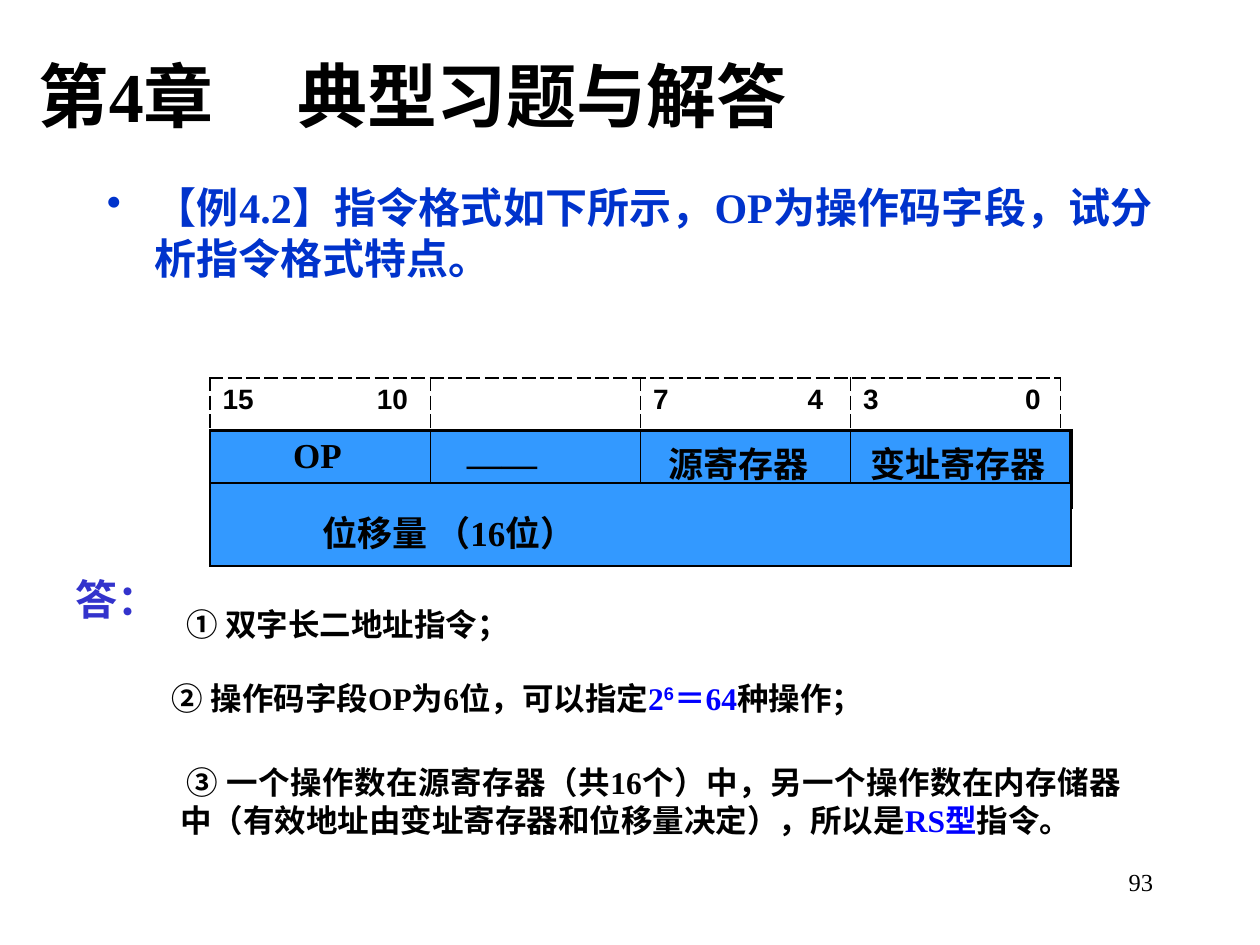
from lxml.etree import SubElement
from pptx import Presentation
from pptx.dml.color import RGBColor
from pptx.enum.text import MSO_ANCHOR, PP_ALIGN
from pptx.oxml.ns import qn
from pptx.util import Inches, Pt

BLACK = RGBColor(0x00, 0x00, 0x00)
QUESTION_BLUE = RGBColor(0x00, 0x33, 0xCC)
ANSWER_BLUE = RGBColor(0x33, 0x33, 0xCC)
HIGHLIGHT = RGBColor(0x00, 0x00, 0xFF)
FIELD_FILL = RGBColor(0x33, 0x99, 0xFF)

UNITS_PER_INCH = 12
FIELD_LEFT = 20
FIELD_WIDTHS = [21, 20, 20, 21]


def grid(units):
    return Inches(units / UNITS_PER_INCH)


class ExerciseSlide:
    """Builds one slide on a grid of 120 columns by 90 rows."""

    latin = "Times New Roman"
    east_asian = "Noto Sans CJK SC"

    def __init__(self, presentation):
        self.slide = presentation.slides.add_slide(presentation.slide_layouts[5])

    def style(self, paragraph, size, color=BLACK, bold=True, latin=None):
        font = paragraph.font
        font.size = Pt(size)
        font.bold = bold
        font.color.rgb = color
        font.name = latin or self.latin
        SubElement(font._rPr, qn("a:ea"), typeface=self.east_asian)

    def tab(self, paragraph, position, align):
        """Add a tab stop, in inches from the text's left edge."""
        stops = SubElement(paragraph._p.get_or_add_pPr(), qn("a:tabLst"))
        SubElement(stops, qn("a:tab"), pos=str(Inches(position)), algn=align)

    def indent(self, paragraph, first_line, left=0):
        properties = paragraph._p.get_or_add_pPr()
        properties.set("marL", str(Inches(left)))
        properties.set("indent", str(Inches(first_line)))

    def title(self, text, left, top, width, height):
        shape = self.slide.shapes.title
        shape.left, shape.top = grid(left), grid(top)
        shape.width, shape.height = grid(width), grid(height)
        frame = shape.text_frame
        frame.vertical_anchor = MSO_ANCHOR.MIDDLE
        paragraph = frame.paragraphs[0]
        paragraph.text = text
        paragraph.alignment = PP_ALIGN.LEFT
        self.tab(paragraph, 2.05, "l")
        self.style(paragraph, 40)

    def text(self, runs, left, top, width, height, size, color=BLACK, bold=True,
             align=PP_ALIGN.LEFT, line=None, first_line=0, bullet=None):
        """Add a text box; each run is (text, colour or None, superscript)."""
        box = self.slide.shapes.add_textbox(
            grid(left), grid(top), grid(width), grid(height))
        frame = box.text_frame
        frame.word_wrap = True
        paragraph = frame.paragraphs[0]
        paragraph.alignment = align
        if line:
            paragraph.line_spacing = Pt(line)
        if bullet:
            self.indent(paragraph, -0.38, 0.38)
            SubElement(paragraph._p.get_or_add_pPr(), qn("a:buChar"), char=bullet)
        else:
            self.indent(paragraph, first_line)
        self.style(paragraph, size, color, bold)
        for content, run_color, superscript in runs:
            run = paragraph.add_run()
            run.text = content
            if run_color is not None:
                run.font.color.rgb = run_color
            if superscript:
                run.font.name = "Arial"
                run._r.get_or_add_rPr().set("baseline", "30000")

    def border(self, cell, widths, dash):
        """Draw the left, right, top and bottom borders, widths in points."""
        properties = cell._tc.get_or_add_tcPr()
        for position, (side, width) in enumerate(zip("LRTB", widths)):
            line = SubElement(properties, qn(f"a:ln{side}"), w=str(Pt(width)))
            fill = SubElement(line, qn("a:solidFill"))
            SubElement(fill, qn("a:srgbClr"), val=str(BLACK))
            SubElement(line, qn("a:prstDash"), val=dash)
            properties.insert(position, line)

    def row(self, cells, widths, top, height, size, latin=None, fill=None,
            edge=1, dash="solid", tabs=()):
        """Add a one-row table; each cell is (text, left margin, top margin)."""
        table = self.slide.shapes.add_table(
            1, len(widths), grid(FIELD_LEFT), grid(top),
            grid(sum(widths)), grid(height)).table
        table.first_row = table.horz_banding = False
        for index, (content, left, above) in enumerate(cells):
            table.columns[index].width = grid(widths[index])
            cell = table.cell(0, index)
            cell.margin_left, cell.margin_top = Inches(left), Inches(above)
            cell.margin_right = 0
            paragraph = cell.text_frame.paragraphs[0]
            paragraph.text = content
            if tabs and tabs[index]:
                self.tab(paragraph, tabs[index], "r")
            self.style(paragraph, size, latin=latin)
            if fill is None:
                cell.fill.background()
            else:
                cell.fill.solid()
                cell.fill.fore_color.rgb = fill
            right = edge if index == len(cells) - 1 else 1
            self.border(cell, (1, right, edge, edge), dash)


def main():
    presentation = Presentation()
    presentation.slide_width = Inches(10)
    presentation.slide_height = Inches(7.5)
    page = ExerciseSlide(presentation)

    page.title("第4章\t典型习题与解答", 2.5, 3, 105.2, 12)
    page.text([("【例4.2】指令格式如下所示，OP为操作码字段，试分析指令格式特点。", None, False)],
              9, 16.7, 102, 54, 24, QUESTION_BLUE, align=PP_ALIGN.JUSTIFY,
              line=29, bullet="•")

    page.row([("OP", 0.66, 0.05), ("——", 0.29, 0.12),
              ("源寄存器", 0.22, 0.05), ("变址寄存器", 0.16, 0.05)],
             FIELD_WIDTHS, 41, 7.3, 20, fill=FIELD_FILL, edge=2.25)
    page.row([("位移量 （16位）", 0.89, 0.18)], [sum(FIELD_WIDTHS)], 46, 7.9, 20,
             fill=FIELD_FILL)
    page.row([(bits, 0.1, 0.05) for bits in ("15\t10", "", "7\t4", "3\t0")],
             [21, 20, 20, 20], 36, 5, 16, latin="Arial", dash="sysDash",
             tabs=(1.47, None, 1.35, 1.41))

    page.text([("答：", None, False)], 6, 54, 114, 6.8, 24, ANSWER_BLUE)
    page.text([("① 双字长二地址指令；", None, False)],
              16, 57, 104, 8, 18, line=22, first_line=0.05)
    page.text([("② 操作码字段OP为6位，可以指定", None, False), ("2", HIGHLIGHT, False),
               ("6", HIGHLIGHT, True), ("＝64", HIGHLIGHT, False),
               ("种操作；", None, False)],
              14, 64, 94, 4.8, 18, line=22, first_line=0.1)
    page.text([("③ 一个操作数在源寄存器（共16个）中，另一个操作数在内存储器中"
                "（有效地址由变址寄存器和位移量决定），所以是", None, False),
               ("RS型", HIGHLIGHT, False), ("指令。", None, False)],
              16, 72, 92, 11.6, 18, align=PP_ALIGN.JUSTIFY, line=22, first_line=0.05)
    page.text([("93", None, False)], 86, 82, 25, 6, 14, bold=False,
              align=PP_ALIGN.RIGHT)

    presentation.save("out.pptx")


if __name__ == "__main__":
    main()
